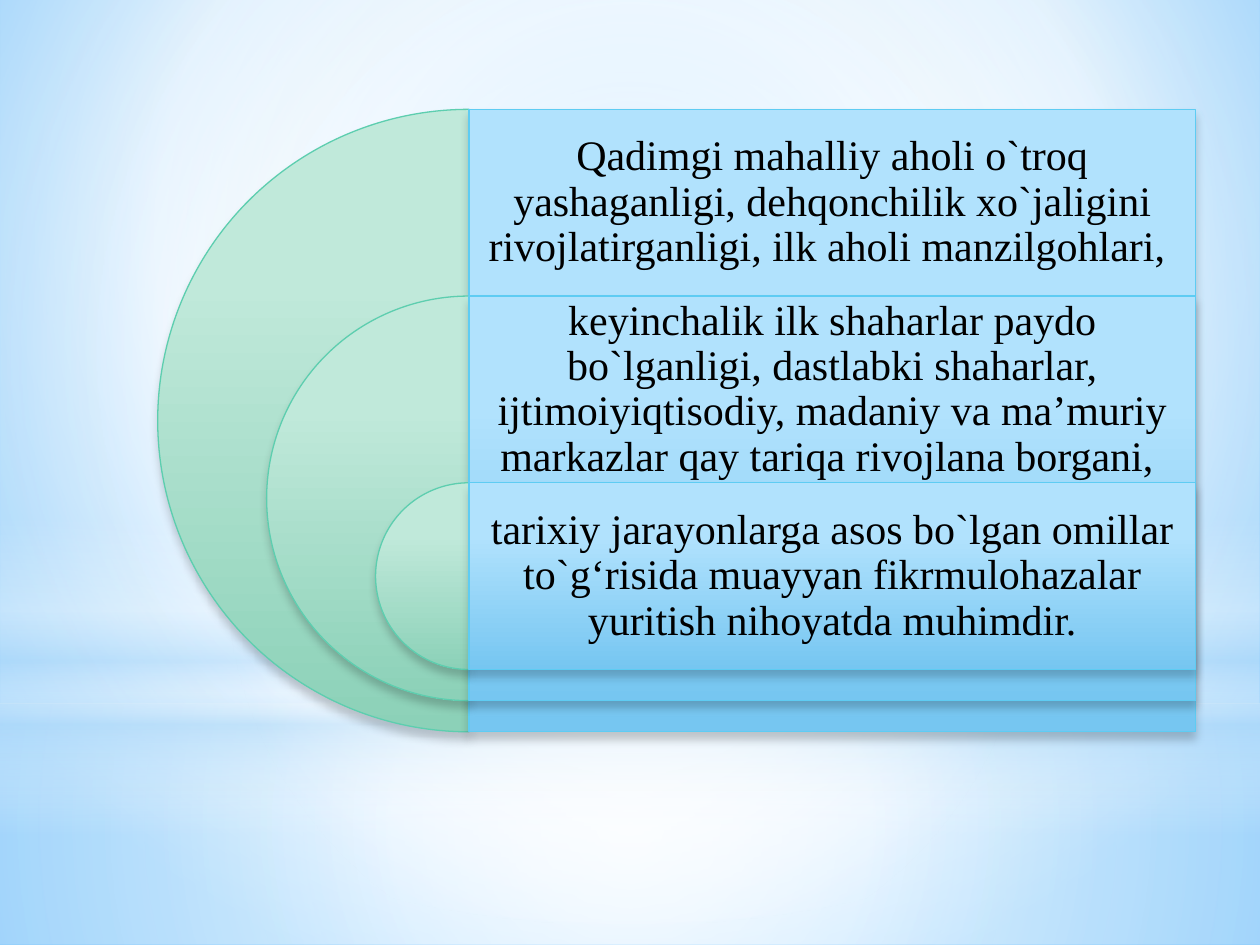
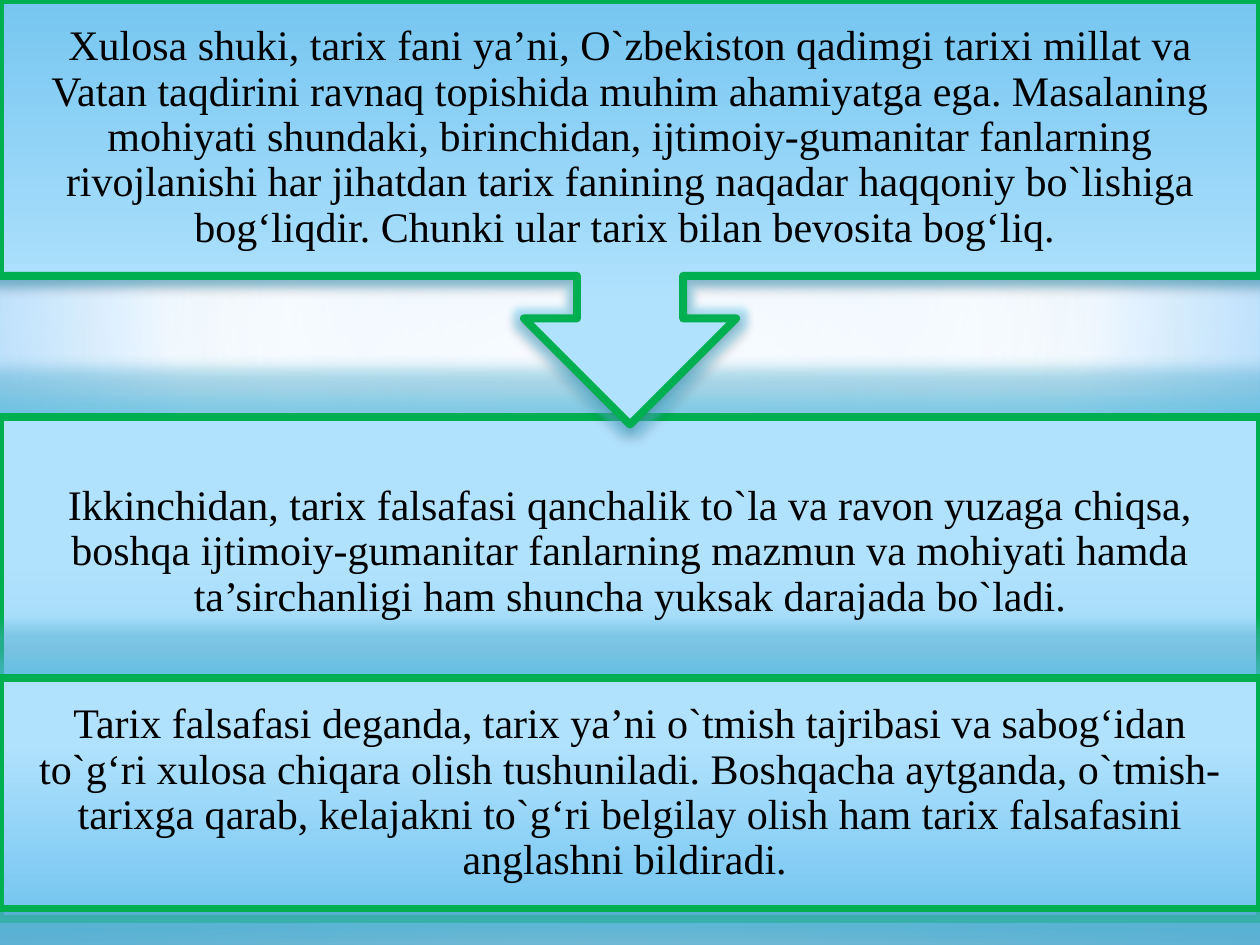
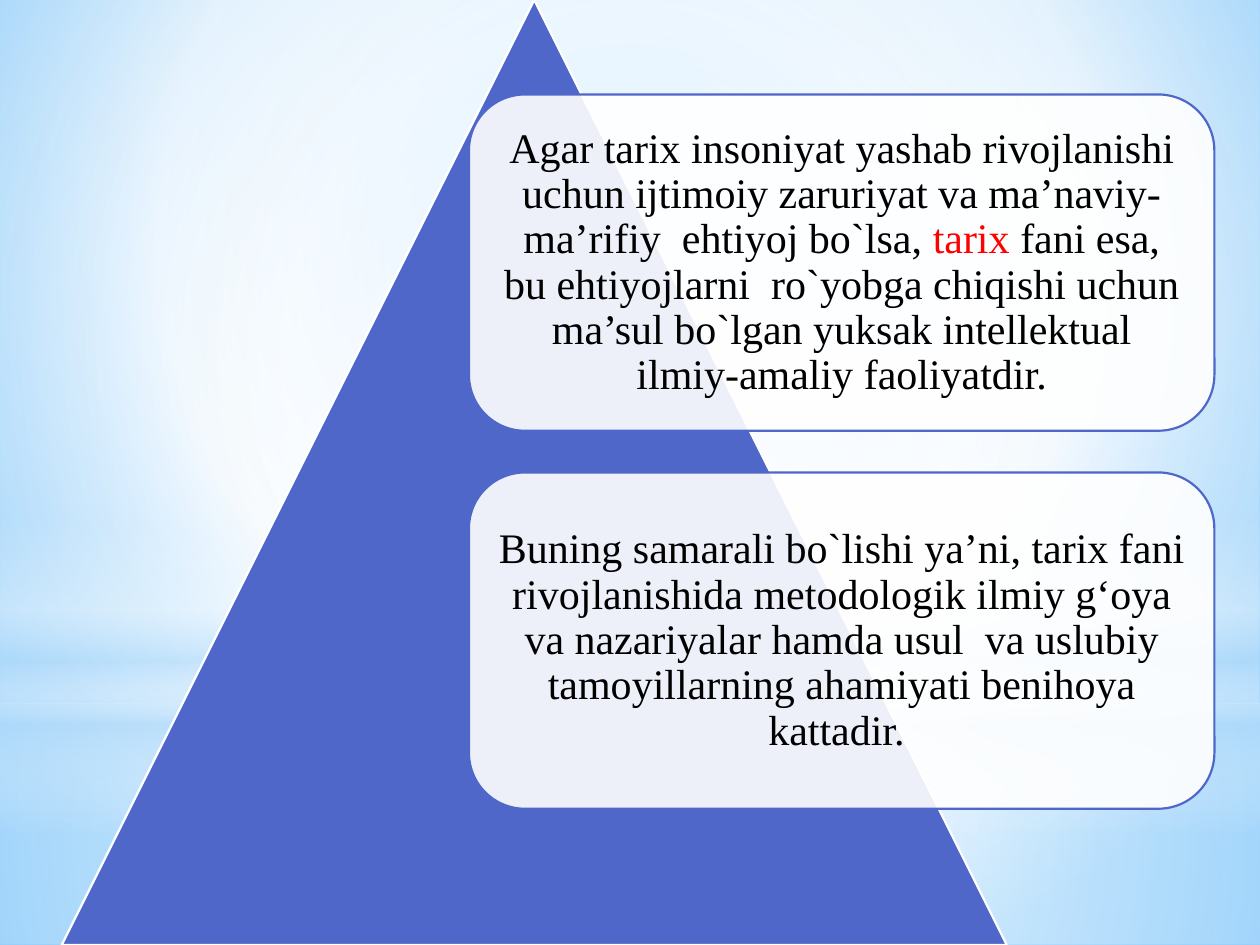
from dataclasses import dataclass

from pptx import Presentation
from pptx.dml.color import RGBColor
from pptx.enum.shapes import MSO_SHAPE as Preset
from pptx.enum.text import MSO_ANCHOR as Anchor, PP_ALIGN as Align
from pptx.oxml import parse_xml
from pptx.oxml.ns import nsdecls, qn
from pptx.util import Pt


@dataclass(frozen=True)
class Gradient:
    """Stops of (position, colour, opacity), linear unless a focus is given."""
    stops: tuple
    focus: tuple = ()


@dataclass(frozen=True)
class Shadow:
    """A black shadow that falls straight down."""
    opacity: int
    blur: float
    distance: float


@dataclass(frozen=True)
class Theme:
    """Colours, type sizes and surfaces used throughout the deck."""
    width: int = 720
    height: int = 540
    font: str = "Times New Roman"
    body_size: int = 24
    text: str = "000000"
    accent: str = "FF0000"
    white: str = "FFFFFF"
    indigo: str = "4E67C8"
    sky_line: str = "5ECCF3"
    mint_line: str = "5DCEAF"
    frame_line: str = "00B050"
    sky: Gradient = Gradient(((28, "B1E2FD", 100), (100, "76C6F1", 100)))
    mint: Gradient = Gradient(((28, "C0E9DA", 100), (100, "8CD1B8", 100)))
    soft_shadow: Shadow = Shadow(20, 5, 4)
    frame_shadow: Shadow = Shadow(32, 3.5, 2.2)


THEME = Theme()
CENTRE = (50, 50, 50, 50)
BACKGROUND = Gradient(
    ((0, "9ED5FF", 100), (60, "FFFFFF", 100), (100, "5BB9FF", 100)), (20, 10, 20, 60))
BACKDROP = (
    (Preset.RECTANGLE, 401.8, 138.2, Gradient(
        ((0, "FFFFFF", 91), (37, "FFFFFF", 76), (100, "B4DCFA", 79)), CENTRE)),
    (Preset.RECTANGLE, 0, 401.8, Gradient(
        ((0, "FFFFFF", 89), (48, "FFFFFF", 62), (100, "B4DCFA", 79)), CENTRE)),
    (Preset.RECTANGLE, 296.6, 180, Gradient(
        ((0, "FFFFFF", 0), (29, "FFFFFF", 30), (45, "B4DCFA", 40),
         (55, "FFFFFF", 26), (65, "B4DCFA", 60), (100, "FFFFFF", 0)))),
    (Preset.OVAL, 126, 401.8, Gradient(
        ((0, "FFFFFF", 100), (56, "FFFFFF", 0)), CENTRE)),
)

ARC_TEXTS = (
    "Qadimgi mahalliy aholi o`troq yashaganligi, dehqonchilik xo`jaligini "
    "rivojlatirganligi, ilk aholi manzilgohlari, ",
    "keyinchalik ilk shaharlar paydo bo`lganligi, dastlabki shaharlar, "
    "ijtimoiyiqtisodiy, madaniy va ma’muriy markazlar qay tariqa rivojlana borgani, ",
    "tarixiy jarayonlarga asos bo`lgan omillar to`g‘risida muayyan "
    "fikrmulohazalar yuritish nihoyatda muhimdir.",
)
CONCLUSION = (
    "Xulosa shuki, tarix fani ya’ni, O`zbekiston qadimgi tarixi millat va Vatan "
    "taqdirini ravnaq topishida muhim ahamiyatga ega. Masalaning mohiyati shundaki, "
    "birinchidan, ijtimoiy-gumanitar fanlarning rivojlanishi har jihatdan tarix "
    "fanining naqadar haqqoniy bo`lishiga bog‘liqdir. Chunki ular tarix bilan "
    "bevosita bog‘liq. ")
SECOND_POINT = (
    "Ikkinchidan, tarix falsafasi qanchalik to`la va ravon yuzaga chiqsa, boshqa "
    "ijtimoiy-gumanitar fanlarning mazmun va mohiyati hamda ta’sirchanligi ham "
    "shuncha yuksak darajada bo`ladi.")
PHILOSOPHY = (
    "Tarix falsafasi deganda, tarix ya’ni o`tmish tajribasi va sabog‘idan to`g‘ri "
    "xulosa chiqara olish tushuniladi. Boshqacha aytganda, o`tmish-tarixga qarab, "
    "kelajakni to`g‘ri belgilay olish ham tarix falsafasini anglashni bildiradi. ")
CARD_TEXTS = (
    (("Agar tarix insoniyat yashab rivojlanishi uchun ijtimoiy zaruriyat va "
      "ma’naviy-ma’rifiy  ehtiyoj bo`lsa, ", THEME.text),
     ("tarix ", THEME.accent),
     ("fani esa, bu ehtiyojlarni  ro`yobga chiqishi uchun ma’sul bo`lgan yuksak "
      "intellektual ilmiy-amaliy faoliyatdir.", THEME.text)),
    (("Buning samarali bo`lishi ya’ni, tarix fani rivojlanishida metodologik ilmiy "
      "g‘oya va nazariyalar hamda usul  va uslubiy tamoyillarning ahamiyati "
      "benihoya kattadir. ", THEME.text),),
)


def colour_xml(colour, opacity):
    """Return the XML of a colour with its opacity in percent."""
    return f'<a:srgbClr val="{colour}"><a:alpha val="{opacity * 1000}"/></a:srgbClr>'


def replace_fill(holder, xml):
    """Put a fill written as XML in place of the holder's empty fill."""
    empty = holder.find(qn("a:noFill"))
    holder.replace(empty, parse_xml(xml))


def paint_gradient(holder, gradient):
    """Fill a property element with a linear or circular gradient."""
    stops = "".join(f'<a:gs pos="{position * 1000}">{colour_xml(colour, opacity)}</a:gs>'
                    for position, colour, opacity in gradient.stops)
    direction = '<a:lin ang="5400000" scaled="0"/>'
    if gradient.focus:
        edges = " ".join(f'{side}="{share * 1000}"'
                         for side, share in zip("ltrb", gradient.focus))
        direction = f'<a:path path="circle"><a:fillToRect {edges}/></a:path>'
    replace_fill(holder, f'<a:gradFill {nsdecls("a")} rotWithShape="1">'
                         f'<a:gsLst>{stops}</a:gsLst>{direction}</a:gradFill>')


def add_effects(shape, shadow, glow):
    """Give a shape a glow of some radius and a downward shadow."""
    effects = shape.element.spPr.find(qn("a:effectLst"))
    if glow:
        effects.append(parse_xml(
            f'<a:glow {nsdecls("a")} rad="{Pt(glow)}">'
            f'{colour_xml(THEME.sky_line, 40)}</a:glow>'))
    if shadow:
        effects.append(parse_xml(
            f'<a:outerShdw {nsdecls("a")} blurRad="{Pt(shadow.blur)}" '
            f'dist="{Pt(shadow.distance)}" dir="5400000" rotWithShape="0">'
            f'{colour_xml("000000", shadow.opacity)}</a:outerShdw>'))


def add_figure(page, preset, left, top, width, height, fill, *, opacity=100,
               line=None, weight=0.75, shadow=None, glow=0):
    """Draw a preset shape with a plain or gradient fill."""
    shape = page.shapes.add_shape(preset, Pt(left), Pt(top), Pt(width), Pt(height))
    shape.shadow.inherit = False
    shape.fill.background()
    if isinstance(fill, Gradient):
        paint_gradient(shape.element.spPr, fill)
    else:
        replace_fill(shape.element.spPr, f'<a:solidFill {nsdecls("a")}>'
                                         f'{colour_xml(fill, opacity)}</a:solidFill>')
    if line:
        shape.line.color.rgb = RGBColor.from_string(line)
        shape.line.width = Pt(weight)
    else:
        shape.line.fill.background()
    add_effects(shape, shadow, glow)
    return shape


def add_span(para, text, *, colour=THEME.text, size=THEME.body_size, font=THEME.font):
    """Append formatted text to a paragraph."""
    span = para.add_run()
    span.text = text
    span.font.name = font
    span.font.size = Pt(size)
    span.font.color.rgb = RGBColor.from_string(colour)


def add_caption(page, left, top, width, height, spans, *, side=7.2, edge=7.2):
    """Add centred text made of (text, colour) spans."""
    box = page.shapes.add_textbox(Pt(left), Pt(top), Pt(width), Pt(height))
    frame = box.text_frame
    frame.word_wrap = True
    frame.vertical_anchor = Anchor.MIDDLE
    frame.margin_left = frame.margin_right = Pt(side)
    frame.margin_top = frame.margin_bottom = Pt(edge)
    para = frame.paragraphs[0]
    para.alignment = Align.CENTER
    para.line_spacing = 0.9
    for text, colour in spans:
        add_span(para, text, colour=colour)


def build_backdrop(deck, page):
    """Set the master background and move its glowing bands onto the master."""
    master = deck.slide_master
    master.background.fill.background()
    paint_gradient(master.element.find(".//" + qn("p:bgPr")), BACKGROUND)
    for index, (preset, top, height, fill) in enumerate(BACKDROP):
        band = add_figure(page, preset, 0, top, THEME.width, height, fill)
        band.element.find(".//" + qn("p:cNvPr")).set("id", str(100 + index))
        master.shapes.element.insert(2 + index, band.element)


def build_arcs(page):
    """Draw nested half discs, each with a text band on its right."""
    axis, first_top, step, width = 268, 62.5, 106.7, 415.2
    largest, shrink = 355.7, 124.5
    for index, text in enumerate(ARC_TEXTS):
        top, size = first_top + index * step, largest - index * shrink
        arc = add_figure(page, Preset.PIE, axis - size / 2, top, size, size, THEME.mint,
                         line=THEME.mint_line, shadow=THEME.soft_shadow)
        arc.adjustments[0], arc.adjustments[1] = 54, 162
        add_figure(page, Preset.RECTANGLE, axis, top, width, size, THEME.sky,
                   line=THEME.sky_line, shadow=THEME.soft_shadow)
        add_caption(page, axis, top, width, step, [(text, THEME.text)])


def build_process(page):
    """Draw full-width framed panels, the top one pointing downwards."""
    panels = (
        (Preset.RECTANGLE, 238.2, 286.8, 154.8, SECOND_POINT, 13.7, 18),
        (Preset.RECTANGLE, 387.4, 131.8, 131.8, PHILOSOPHY, 2.2, 18),
        (Preset.UP_ARROW_CALLOUT, 0, 242.6, 157.7, CONCLUSION, 13.7, 8),
    )
    for preset, top, height, text_height, text, edge, glow in panels:
        panel = add_figure(page, preset, 0, top, THEME.width, height, THEME.sky,
                           line=THEME.frame_line, weight=4.5,
                           shadow=THEME.frame_shadow, glow=glow)
        if preset == Preset.UP_ARROW_CALLOUT:
            panel.rotation = 180
        add_caption(page, 0, top, THEME.width, text_height, [(text, THEME.text)],
                    side=13.7, edge=edge)


def build_pyramid(page):
    """Draw a triangle with translucent text cards over it."""
    add_figure(page, Preset.ISOSCELES_TRIANGLE, 35.3, 0, THEME.height, THEME.height,
               THEME.indigo, line=THEME.white, weight=1.25)
    left, first_top, pitch, width, height, inset = 268, 54, 216, 426, 192.2, 9.4
    for index, spans in enumerate(CARD_TEXTS):
        top = first_top + index * pitch
        add_figure(page, Preset.ROUNDED_RECTANGLE, left, top, width, height, THEME.white,
                   opacity=90, line=THEME.indigo, weight=1.25)
        add_caption(page, left + inset, top + inset, width - 2 * inset,
                    height - 2 * inset, spans)


def main():
    """Build the deck and save it."""
    deck = Presentation()
    deck.slide_width, deck.slide_height = Pt(THEME.width), Pt(THEME.height)
    blank = deck.slide_layouts[6]
    pages = [deck.slides.add_slide(blank) for _ in range(3)]
    build_backdrop(deck, pages[0])
    for build, page in zip((build_arcs, build_process, build_pyramid), pages):
        build(page)
    deck.save("out.pptx")


if __name__ == "__main__":
    main()
